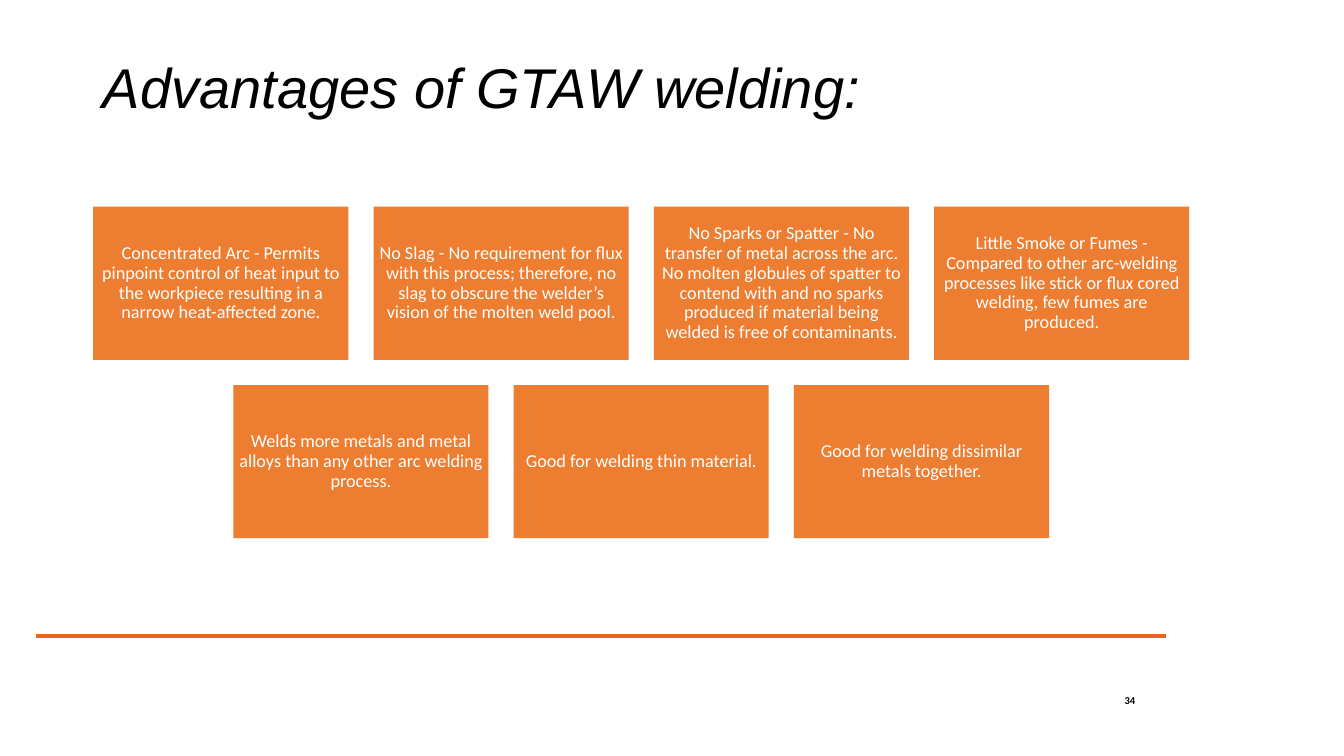
from lxml import etree
from pptx import Presentation
from pptx.dml.color import RGBColor
from pptx.enum.shapes import MSO_CONNECTOR, MSO_SHAPE
from pptx.enum.text import MSO_ANCHOR, PP_ALIGN
from pptx.oxml.ns import qn
from pptx.util import Inches, Pt

LEFT, CENTER, RIGHT = PP_ALIGN.LEFT, PP_ALIGN.CENTER, PP_ALIGN.RIGHT
MIDDLE = MSO_ANCHOR.MIDDLE
RECTANGLE = MSO_SHAPE.RECTANGLE
STRAIGHT = MSO_CONNECTOR.STRAIGHT
TITLE_ONLY = 5

CARD_WIDTH, CARD_HEIGHT, CARD_GAP = 2.53, 1.52, 0.25
GRID_CENTER, GRID_TOP = 6.36, 2.05

ADVANTAGE_ROWS = [
    [
        "Concentrated Arc - Permits pinpoint control of heat input to the workpiece "
        "resulting in a narrow heat-affected zone.",
        "No Slag - No requirement for flux with this process; therefore, no slag to "
        "obscure the welder’s vision of the molten weld pool.",
        "No Sparks or Spatter - No transfer of metal across the arc. No molten globules "
        "of spatter to contend with and no sparks produced if material being welded is "
        "free of contaminants.",
        "Little Smoke or Fumes - Compared to other arc-welding processes like stick or "
        "flux cored welding, few fumes are produced.",
    ],
    [
        "Welds more metals and metal alloys than any other arc welding process.",
        "Good for welding thin material.",
        "Good for welding dissimilar metals together.",
    ],
]


def color(hex_value):
    """Return the colour for a hex string."""
    return RGBColor.from_string(hex_value)


def write_text(shape, text, size, font="Calibri", hex_value="000000", align=LEFT,
               bold=False, italic=False, line_spacing=1.0, space_after=0, inset=0):
    """Write one formatted, vertically centred paragraph into a shape."""
    frame = shape.text_frame
    frame.word_wrap = True
    frame.vertical_anchor = MIDDLE
    frame.margin_left = frame.margin_right = Inches(inset)
    frame.margin_top = frame.margin_bottom = Inches(min(inset, 0.05))
    paragraph = frame.paragraphs[0]
    paragraph.alignment = align
    paragraph.line_spacing = line_spacing
    paragraph.space_after = Pt(space_after)
    run = paragraph.add_run()
    run.text = text
    run.font.name = font
    run.font.size = Pt(size)
    run.font.bold = bold
    run.font.italic = italic
    run.font.color.rgb = color(hex_value)


def add_title(slide, text):
    """Place and format the title placeholder."""
    title = slide.shapes.title
    title.left, title.top = Inches(0.92), Inches(0.4)
    title.width, title.height = Inches(11.5), Inches(1)
    write_text(title, text, 40, font="Arial", italic=True, line_spacing=0.9, inset=0.1)


def add_card(slide, left, top, text):
    """Add one orange card with its advantage."""
    card = slide.shapes.add_shape(RECTANGLE, Inches(left), Inches(top),
                                  Inches(CARD_WIDTH), Inches(CARD_HEIGHT))
    card.shadow.inherit = False
    card.fill.solid()
    card.fill.fore_color.rgb = color("ED7D31")
    card.line.fill.background()
    write_text(card, text, 13, hex_value="FFFFFF", align=CENTER,
               line_spacing=0.9, space_after=4.55, inset=0.05)


def add_cards(slide):
    """Lay out the card rows, each centred on the same axis."""
    pitch = CARD_WIDTH + CARD_GAP
    for row, advantages in enumerate(ADVANTAGE_ROWS):
        row_left = GRID_CENTER - (len(advantages) * pitch - CARD_GAP) / 2
        top = GRID_TOP + row * (CARD_HEIGHT + CARD_GAP)
        for column, advantage in enumerate(advantages):
            add_card(slide, row_left + column * pitch, top, advantage)


def add_footer_rule(slide):
    """Add the orange line above the footer."""
    rule = slide.shapes.add_connector(STRAIGHT, Inches(0.36), Inches(6.31),
                                      Inches(11.56), Inches(6.31))
    rule.line.color.rgb = color("EC6422")
    rule.line.width = Pt(2.25)
    etree.SubElement(rule.element.spPr, qn("a:effectLst"))


def add_page_number(slide, number):
    """Add the page number in the footer."""
    box = slide.shapes.add_textbox(Inches(10.72), Inches(6.83), Inches(0.54), Inches(0.24))
    write_text(box, number, 7.5, align=RIGHT, bold=True)


def main():
    """Build and save the presentation."""
    presentation = Presentation()
    presentation.slide_width = Inches(13.33)
    presentation.slide_height = Inches(7.5)
    slide = presentation.slides.add_slide(presentation.slide_layouts[TITLE_ONLY])
    add_footer_rule(slide)
    add_page_number(slide, "34")
    add_title(slide, "Advantages of GTAW welding:")
    add_cards(slide)
    presentation.save("out.pptx")


if __name__ == "__main__":
    main()
